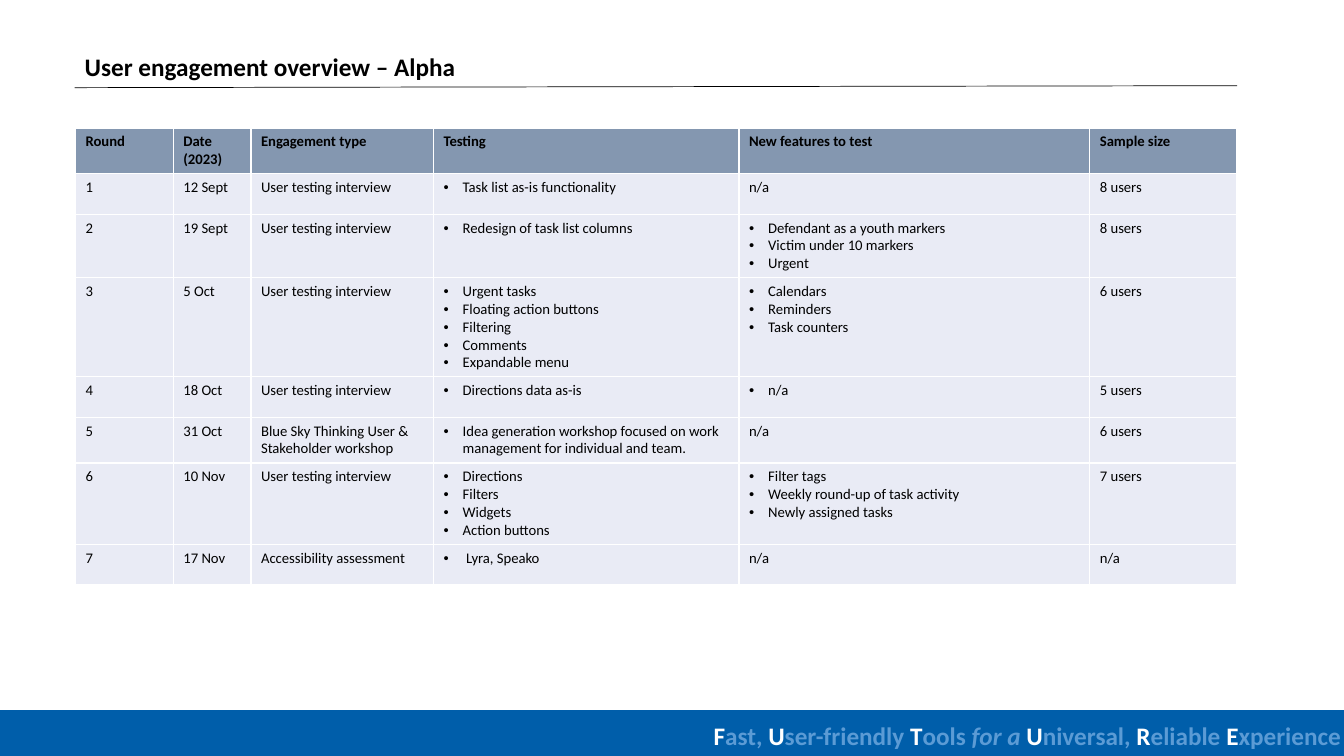
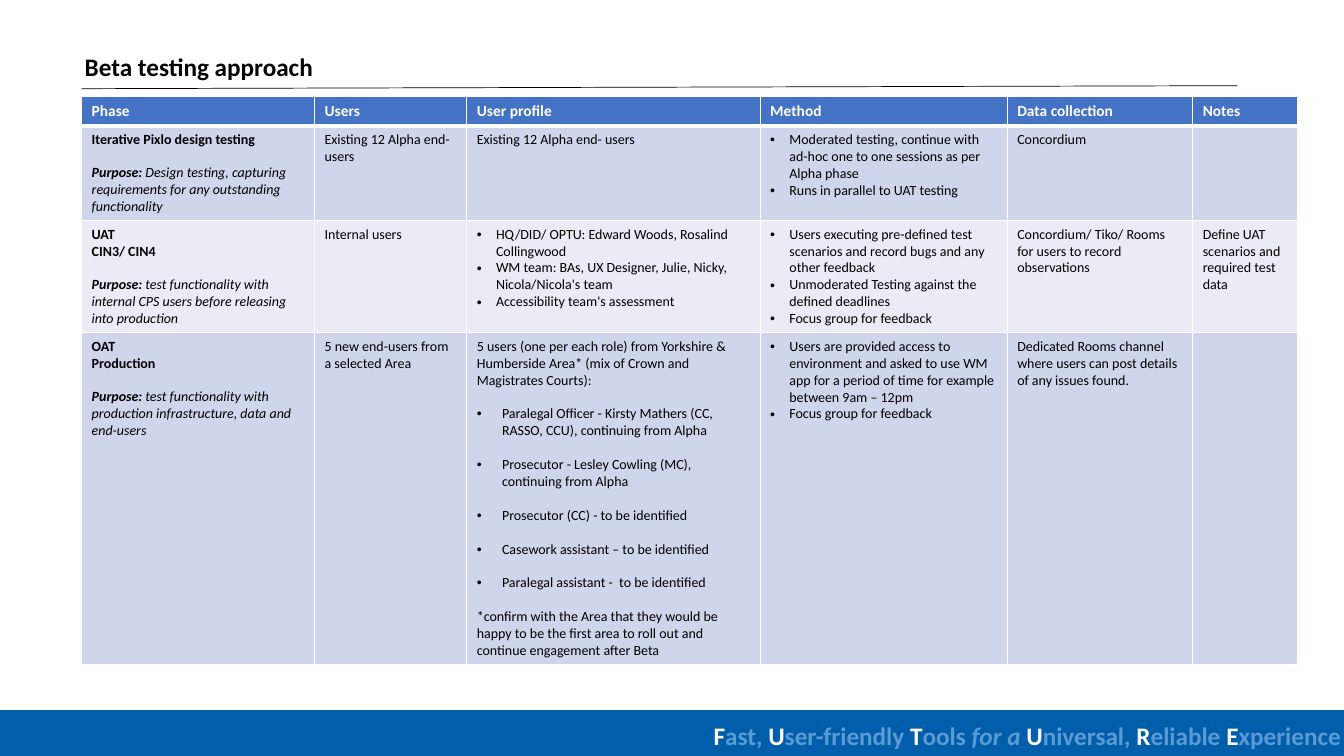
"""Builds two slides on user testing: the Alpha overview and the Beta approach."""
from dataclasses import dataclass

from lxml.etree import SubElement
from pptx import Presentation
from pptx.dml.color import RGBColor
from pptx.enum.shapes import MSO_CONNECTOR, MSO_SHAPE
from pptx.enum.text import MSO_ANCHOR, MSO_AUTO_SIZE, PP_ALIGN
from pptx.oxml.ns import qn
from pptx.util import Inches, Pt

FONT = "Calibri"
BLACK, WHITE = "000000", "FFFFFF"
BAND, PALE_BLUE = "005EAA", "5B9BD5"
LIGHT, MID = "E9EBF5", "CFD5EA"
LINE_GAP = 12


@dataclass
class Para:
    runs: list
    indent: float = 0
    gap: float = 0


def bullets(*items, indent=0.19, gap=0):
    return [Para([(item, {})], indent, gap) for item in items]


def phase(*names, purpose):
    heads = [Para([(name, {"bold": True})]) for name in names]
    runs = [("Purpose: ", {"bold": True, "italic": True}), (purpose, {"italic": True})]
    return heads + [Para(runs, gap=LINE_GAP)]


SLOGAN = [
    ("F", "ast, "), ("U", "ser-friendly "), ("T", "ools "), ("", "for a "),
    ("U", "niversal, "), ("R", "eliable "), ("E", "xperience"),
]

INTERVIEW = "User testing interview"

ALPHA = {
    "title": "User engagement overview – Alpha",
    "rule": (0.74, 0.87),
    "at": (0.75, 1.27),
    "cols": [0.97, 0.77, 1.81, 3.03, 3.48, 1.46],
    "heights": [0.45, 0.4, 0.62, 0.98, 0.4, 0.45, 0.8, 0.4],
    "head": {"size": 10.5, "color": BLACK, "fill": "8497B0", "rule": 1},
    "size": 10.5,
    "fills": [LIGHT],
    "rows": [
        ["Round", "Date (2023)", "Engagement type", "Testing",
         "New features to test", "Sample size"],
        ["1", "12 Sept", INTERVIEW, bullets("Task list as-is functionality"),
         "n/a", "8 users"],
        ["2", "19 Sept", INTERVIEW, bullets("Redesign of task list columns"),
         bullets("Defendant as a youth markers", "Victim under 10 markers", "Urgent"),
         "8 users"],
        ["3", "5 Oct", INTERVIEW,
         bullets("Urgent tasks", "Floating action buttons", "Filtering",
                 "Comments", "Expandable menu"),
         bullets("Calendars", "Reminders", "Task counters"), "6 users"],
        ["4", "18 Oct", INTERVIEW, bullets("Directions data as-is"),
         bullets("n/a"), "5 users"],
        ["5", "31 Oct", "Blue Sky Thinking User & Stakeholder workshop",
         bullets("Idea generation workshop focused on work management "
                 "for individual and team."),
         "n/a", "6 users"],
        ["6", "10 Nov", INTERVIEW,
         bullets("Directions", "Filters", "Widgets", "Action buttons"),
         bullets("Filter tags", "Weekly round-up of task activity",
                 "Newly assigned tasks"),
         "7 users"],
        ["7", "17 Nov", "Accessibility assessment", bullets(" Lyra, Speako"),
         "n/a", "n/a"],
    ],
}

BETA = {
    "title": "Beta testing approach",
    "rule": (0.81, 0.88),
    "at": (0.81, 0.96),
    "cols": [2.31, 1.51, 2.91, 2.45, 1.84, 1.04],
    "heights": [0.28, 0.94, 1.1, 3.22],
    "head": {"size": 11, "color": WHITE, "fill": "4472C4", "rule": 3},
    "size": 10,
    "fills": [MID, LIGHT],
    "rows": [
        ["Phase", "Users", "User profile", "Method", "Data collection", "Notes"],
        [phase("Iterative Pixlo design testing",
               purpose="Design testing, capturing requirements for any "
                       "outstanding functionality"),
         "Existing 12 Alpha end- users", "Existing 12 Alpha end- users",
         bullets("Moderated testing, continue with ad-hoc one to one sessions "
                 "as per Alpha phase",
                 "Runs in parallel to UAT testing"),
         "Concordium", ""],
        [phase("UAT", "CIN3/ CIN4",
               purpose="test functionality with internal CPS users before "
                       "releasing into production"),
         "Internal users",
         bullets("HQ/DID/ OPTU: Edward Woods, Rosalind Collingwood",
                 "WM team: BAs, UX Designer, Julie, Nicky, Nicola/Nicola's team",
                 "Accessibility team's assessment"),
         bullets("Users executing pre-defined test scenarios and record bugs "
                 "and any other feedback",
                 "Unmoderated Testing against the defined deadlines",
                 "Focus group for feedback"),
         "Concordium/ Tiko/ Rooms for users to record observations",
         "Define UAT scenarios and required test data"],
        [phase("OAT", "Production",
               purpose="test functionality with production infrastructure, "
                       "data and end-users"),
         "5 new end-users from a selected Area",
         [Para([("5 users (one per each role) from Yorkshire & Humberside Area* "
                 "(mix of Crown and Magistrates Courts):", {})]),
          *bullets("Paralegal Officer - Kirsty Mathers (CC, RASSO, CCU), "
                   "continuing from Alpha",
                   "Prosecutor - Lesley Cowling (MC),  continuing from Alpha",
                   "Prosecutor (CC) - to be identified",
                   "Casework assistant – to be identified",
                   "Paralegal assistant -  to be identified",
                   indent=0.25, gap=LINE_GAP),
          Para([("*confirm with the Area that they would be happy to be the first "
                 "area to roll out and continue engagement after Beta", {})],
               gap=LINE_GAP)],
         bullets("Users are provided access to environment and asked to use WM app "
                 "for a period of time for example between 9am – 12pm",
                 "Focus group for feedback"),
         "Dedicated Rooms channel where users can post details of any issues found.",
         ""],
    ],
}


def rgb(value):
    return RGBColor.from_string(value)


def add_run(p, text, size, color, bold=False, italic=False):
    r = p.add_run()
    r.text = text
    r.font.name, r.font.size = FONT, Pt(size)
    r.font.bold, r.font.italic = bold, italic
    r.font.color.rgb = rgb(color)


def add_bullet(p, indent):
    pPr = p._p.get_or_add_pPr()
    pPr.set("marL", str(Inches(indent)))
    pPr.set("indent", str(-Inches(indent)))
    SubElement(pPr, qn("a:buFont")).set("typeface", "Arial")
    SubElement(pPr, qn("a:buChar")).set("char", "•")


def fill_cell(cell, paras, size, color, bold=False):
    tf = cell.text_frame
    for i, para in enumerate(paras):
        p = tf.add_paragraph() if i else tf.paragraphs[0]
        if para.indent:
            add_bullet(p, para.indent)
        if para.gap:
            p.space_before = Pt(para.gap)
        for text, style in para.runs:
            add_run(p, text, size, color, **{"bold": bold, **style})


def set_cell_look(cell, fill, bottom):
    tcPr = cell._tc.get_or_add_tcPr()
    for side, width in (("L", 1), ("R", 1), ("T", 1), ("B", bottom)):
        ln = SubElement(tcPr, qn(f"a:ln{side}"), w=str(Pt(width)))
        SubElement(SubElement(ln, qn("a:solidFill")), qn("a:srgbClr"), val=WHITE)
    cell.fill.solid()
    cell.fill.fore_color.rgb = rgb(fill)


def add_grid(slide, data):
    rows, cols, head = data["rows"], data["cols"], data["head"]
    left, top = data["at"]
    table = slide.shapes.add_table(
        len(rows), len(cols), Inches(left), Inches(top),
        Inches(sum(cols)), Inches(sum(data["heights"]))).table
    for column, width in zip(table.columns, cols):
        column.width = Inches(width)
    for y, (row, height) in enumerate(zip(rows, data["heights"])):
        table.rows[y].height = Inches(height)
        for x, content in enumerate(row):
            cell = table.cell(y, x)
            paras = [Para([(content, {})])] if isinstance(content, str) else content
            if y == 0:
                set_cell_look(cell, head["fill"], head["rule"])
                fill_cell(cell, paras, head["size"], head["color"], bold=True)
            else:
                set_cell_look(cell, data["fills"][(y - 1) % len(data["fills"])], 1)
                if content:
                    fill_cell(cell, paras, data["size"], BLACK)


def add_title(slide, text):
    title = slide.shapes.title
    title.left, title.top = Inches(0.74), Inches(0.46)
    title.width, title.height = Inches(7.15), Inches(0.4)
    tf = title.text_frame
    tf.auto_size = MSO_AUTO_SIZE.NONE
    tf.vertical_anchor = MSO_ANCHOR.TOP
    p = tf.paragraphs[0]
    p.alignment = PP_ALIGN.LEFT
    add_run(p, text, 18, BLACK, bold=True)


def add_rule(slide, start):
    line = slide.shapes.add_connector(
        MSO_CONNECTOR.STRAIGHT, Inches(start[0]), Inches(start[1]),
        Inches(12.27), Inches(0.85))
    line.line.color.rgb = rgb(BLACK)
    line.line.width = Pt(0.5)
    SubElement(line.element.spPr, qn("a:effectLst"))


def add_footer(layout, slide):
    band = slide.shapes.add_shape(
        MSO_SHAPE.RECTANGLE, 0, Inches(7.05), Inches(13.33), Inches(0.45))
    band.shadow.inherit = False
    band.fill.solid()
    band.fill.fore_color.rgb = rgb(BAND)
    band.line.color.rgb = rgb(BAND)
    band.line.width = Pt(1)
    slogan = slide.shapes.add_textbox(
        Inches(6.8), Inches(7.1), Inches(6.5), Inches(0.4))
    tf = slogan.text_frame
    tf.word_wrap = True
    tf.margin_left = tf.margin_right = 0
    p = tf.paragraphs[0]
    p.alignment = PP_ALIGN.RIGHT
    for initial, rest in SLOGAN:
        if initial:
            add_run(p, initial, 18, WHITE, bold=True)
        add_run(p, rest, 18, PALE_BLUE, bold=True, italic=not initial)
    for number, sp in enumerate((band, slogan), 20):
        sp.element.nvSpPr.cNvPr.set("id", str(number))
        layout.shapes.element.append(sp.element)


def main():
    prs = Presentation()
    prs.slide_width, prs.slide_height = Inches(13.33), Inches(7.5)
    layout = prs.slide_layouts[5]
    for i, data in enumerate((ALPHA, BETA)):
        slide = prs.slides.add_slide(layout)
        if i == 0:
            add_footer(layout, slide)
        add_title(slide, data["title"])
        add_rule(slide, data["rule"])
        add_grid(slide, data)
    prs.save("out.pptx")


if __name__ == "__main__":
    main()
